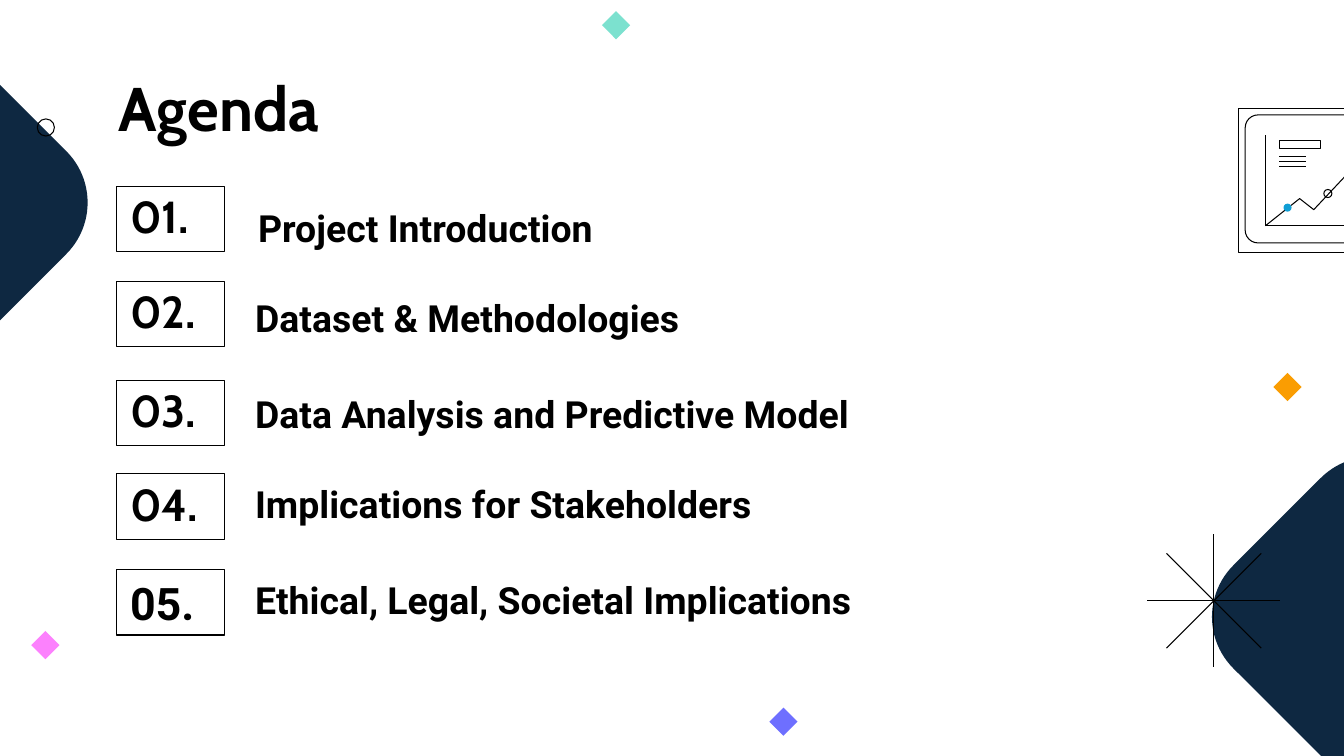
from pptx import Presentation
from pptx import util as u
from pptx.dml.color import RGBColor
from pptx.enum import shapes as s, text as t
from pptx.oxml.ns import qn
from lxml import etree

NAVY = RGBColor(0x0E, 0x28, 0x41)
BLACK = RGBColor(0, 0, 0)
BLUE = RGBColor(0x0F, 0x9E, 0xD5)
PINK = RGBColor(0xFC, 0x81, 0xFD)
VIOLET = RGBColor(0x6E, 0x6F, 0xFF)
ORANGE = RGBColor(0xFA, 0x9D, 0x02)
MINT = RGBColor(0x7C, 0xE1, 0xCF)
SHAPE = s.MSO_SHAPE
ANCHOR = t.MSO_ANCHOR

# number, its top, its font, line spacing, label left, label top, label
AGENDA = [
    ("01.", 1.85, "Cabin", 0.9, 2.43, 1.97, "Project Introduction"),
    ("02.", 2.79, "Cabin", 0.9, 2.4, 2.86, "Dataset & Methodologies"),
    ("03.", 3.77, "Cabin", 0.9, 2.4, 3.81, "Data Analysis and Predictive Model"),
    ("04.", 4.7, "Cabin", 0.9, 2.4, 4.7, "Implications for Stakeholders"),
    ("05.", 5.65, "Roboto", 1.15, 2.4, 5.65, "Ethical, Legal, Societal Implications"),
]


def paint(shape, fill=None):
    """Solid shape without outline, or a thin black outline without fill."""
    shape.shadow.inherit = False
    if fill is None:
        shape.fill.background()
        shape.line.color.rgb = BLACK
        shape.line.width = u.Pt(0.75)
    else:
        shape.fill.solid()
        shape.fill.fore_color.rgb = fill
        shape.line.fill.background()


def add_shape(slide, kind, box, fill=None, rotation=0, rounding=None):
    shape = slide.shapes.add_shape(kind, *map(u.Inches, box))
    shape.rotation = rotation
    if rounding is not None:
        shape.adjustments[0] = rounding
    paint(shape, fill)
    return shape


def add_line(slide, x1, y1, x2, y2):
    line = slide.shapes.add_connector(
        s.MSO_CONNECTOR.STRAIGHT, *map(u.Inches, (x1, y1, x2, y2)))
    line.line.color.rgb = BLACK
    line.line.width = u.Pt(0.75)
    etree.SubElement(line._element.spPr, qn("a:effectLst"))


def add_polyline(slide, points):
    start, *rest = [(u.Inches(x), u.Inches(y)) for x, y in points]
    builder = slide.shapes.build_freeform(*start)
    builder.add_line_segments(rest, close=False)
    paint(builder.convert_to_shape())


def write(shape, words, size, font, spacing=0.9, anchor=ANCHOR.TOP):
    frame = shape.text_frame
    frame.word_wrap = True
    frame.vertical_anchor = anchor
    for side in ("left", "top", "right", "bottom"):
        setattr(frame, f"margin_{side}", u.Inches(0.13))
    paragraph = frame.paragraphs[0]
    paragraph.text = words
    paragraph.alignment = t.PP_ALIGN.LEFT
    paragraph.line_spacing = spacing
    look = {"name": font, "size": u.Pt(size), "bold": True}
    for key, value in look.items():
        setattr(paragraph.runs[0].font, key, value)
    paragraph.runs[0].font.color.rgb = BLACK


def add_label(slide, box, *args, **kwargs):
    write(slide.shapes.add_textbox(*map(u.Inches, box)), *args, **kwargs)


def draw_burst(slide, cx, cy):
    """Star of four crossing lines."""
    for dx, dy in ((0, 0.66), (0.66, 0), (0.47, -0.47), (0.47, 0.47)):
        add_line(slide, cx - dx, cy - dy, cx + dx, cy + dy)


def draw_decoration(slide):
    # Large rounded squares, standing on a corner
    side = 2.67
    for cx, cy in ((-0.72, 2.01), (13.61, 6.12)):
        add_shape(slide, SHAPE.ROUNDED_RECTANGLE,
                  (cx - side / 2, cy - side / 2, side, side), NAVY, 45, 0.27)
    draw_burst(slide, 12.04, 5.96)
    # Small diamonds and the ring
    half = 0.14
    for cx, cy, color in ((0.45, 6.4, PINK), (7.77, 7.16, VIOLET),
                          (12.77, 3.84, ORANGE), (6.11, 0.25, MINT)):
        add_shape(slide, SHAPE.DIAMOND,
                  (cx - half, cy - half, 2 * half, 2 * half), color)
    add_shape(slide, SHAPE.OVAL, (0.37, 1.18, 0.17, 0.17))


def draw_agenda(slide, left, top, width):
    add_label(slide, (left, top, width, 0.84), "Agenda", 44, "Cabin")
    for number, y, font, spacing, label_left, label_top, label in AGENDA:
        frame = add_shape(slide, SHAPE.RECTANGLE, (left + 0.11, y, 1.07, 0.65))
        number_spacing = 1.0 if font == "Roboto" else 0.9
        write(frame, number, 32, font, number_spacing, ANCHOR.MIDDLE)
        add_label(slide, (label_left, label_top, 9.07, 0.65), label, 26.7,
                  "Roboto", spacing, ANCHOR.BOTTOM)


def draw_monitor(slide, x, y):
    """Screen with a line chart, running over the right edge."""
    add_shape(slide, SHAPE.RECTANGLE, (x, y, 1.85, 1.43))
    # Inner frame: turned so that its two round corners are on the left
    width, height = 1.79, 1.27
    add_shape(slide, SHAPE.ROUND_2_SAME_RECTANGLE,
              (x + 0.07 + (width - height) / 2, y + 0.06 - (width - height) / 2,
               height, width), rotation=270, rounding=0.1)
    # Axes and curve
    axes = [(0.27, 0.26), (0.27, 1.16), (1.75, 1.16)]
    curve = [(0.27, 1.16), (0.61, 0.89), (0.75, 1.0),
             (1.22, 0.5), (1.4, 0.75), (1.75, 0.41)]
    for points in (axes, curve):
        add_polyline(slide, [(x + dx, y + dy) for dx, dy in points])
    # Markers
    for dx, dy, color in ((0.45, 0.94, BLUE), (0.85, 0.8, None)):
        add_shape(slide, SHAPE.OVAL, (x + dx, y + dy, 0.08, 0.08), color)
    # Caption block
    add_shape(slide, SHAPE.RECTANGLE, (x + 0.41, y + 0.31, 0.41, 0.08))
    for row in range(3):
        line_y = y + 0.47 + row * 0.05
        add_line(slide, x + 0.41, line_y, x + 0.67, line_y)


def main():
    deck = Presentation()
    deck.slide_width, deck.slide_height = u.Inches(13.33), u.Inches(7.5)
    slide = deck.slides.add_slide(deck.slide_layouts[6])
    draw_decoration(slide)
    draw_agenda(slide, 1.05, 0.65, 11.23)
    draw_monitor(slide, 12.28, 1.08)
    deck.save("out.pptx")


if __name__ == "__main__":
    main()
